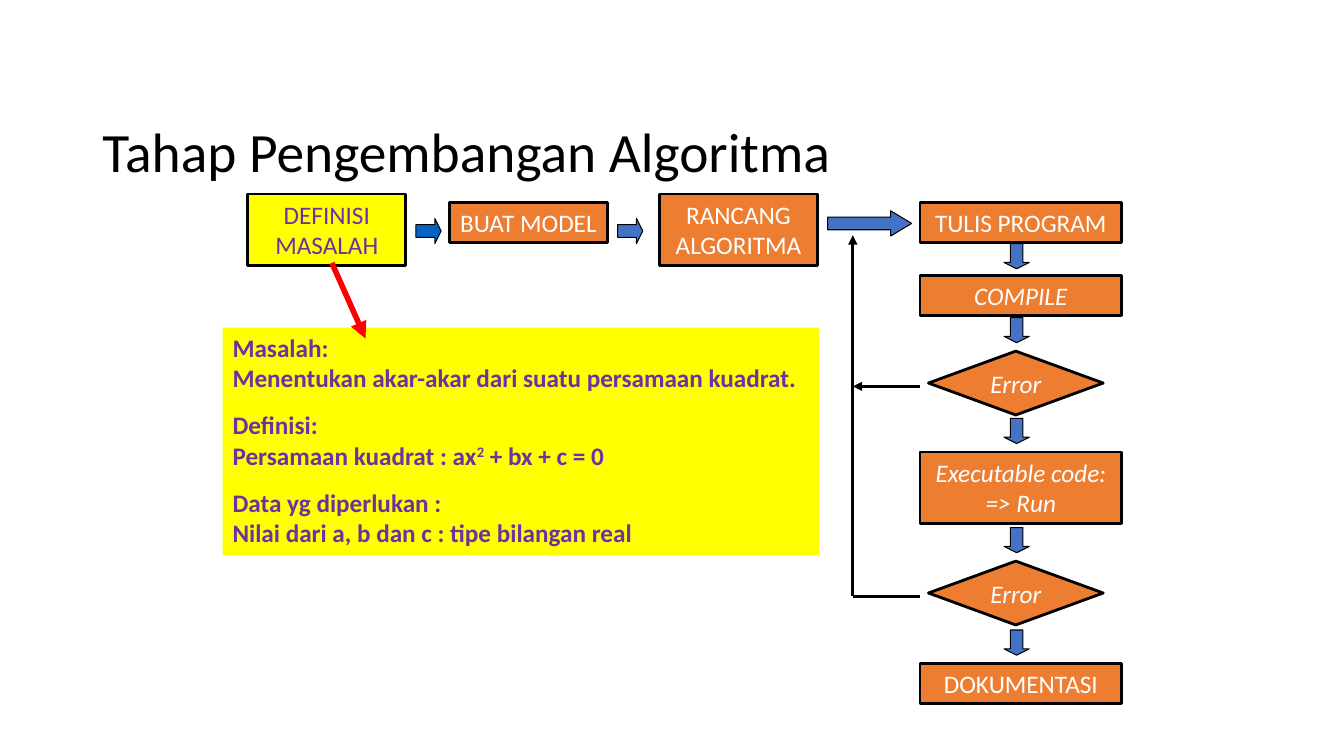
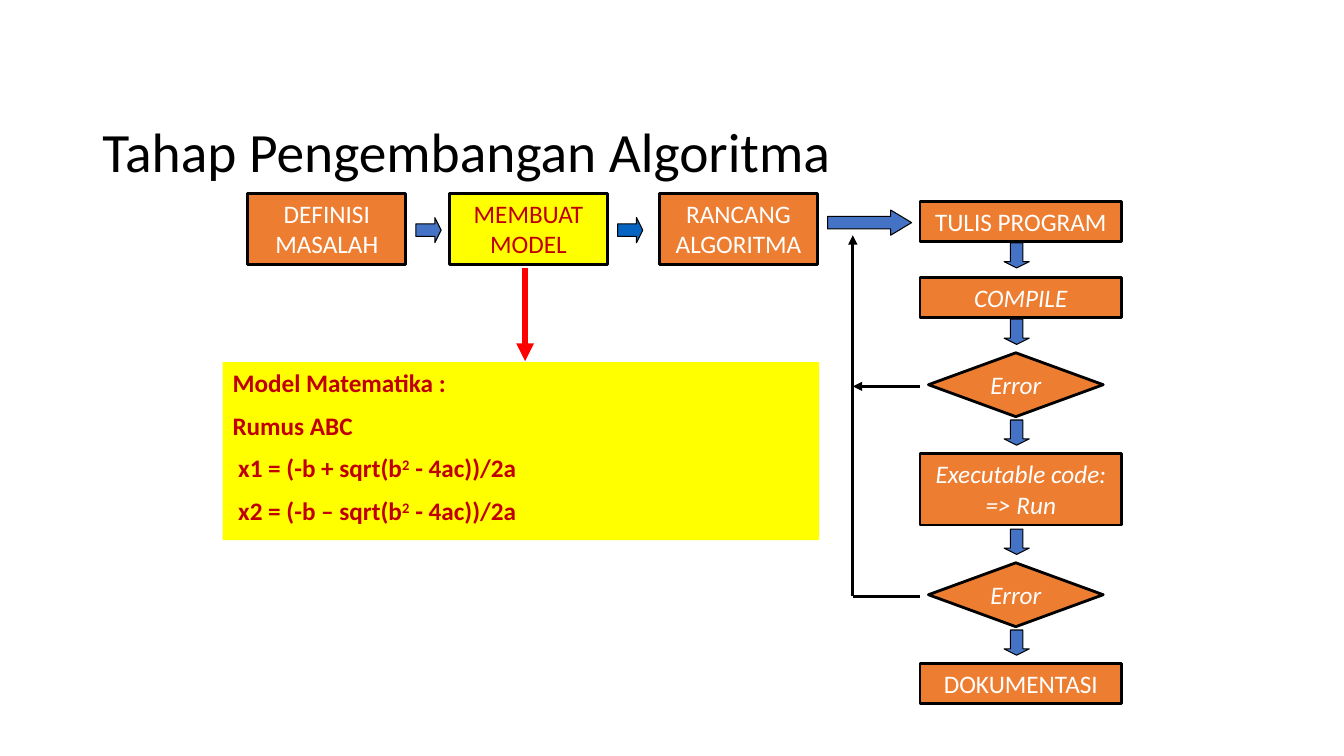
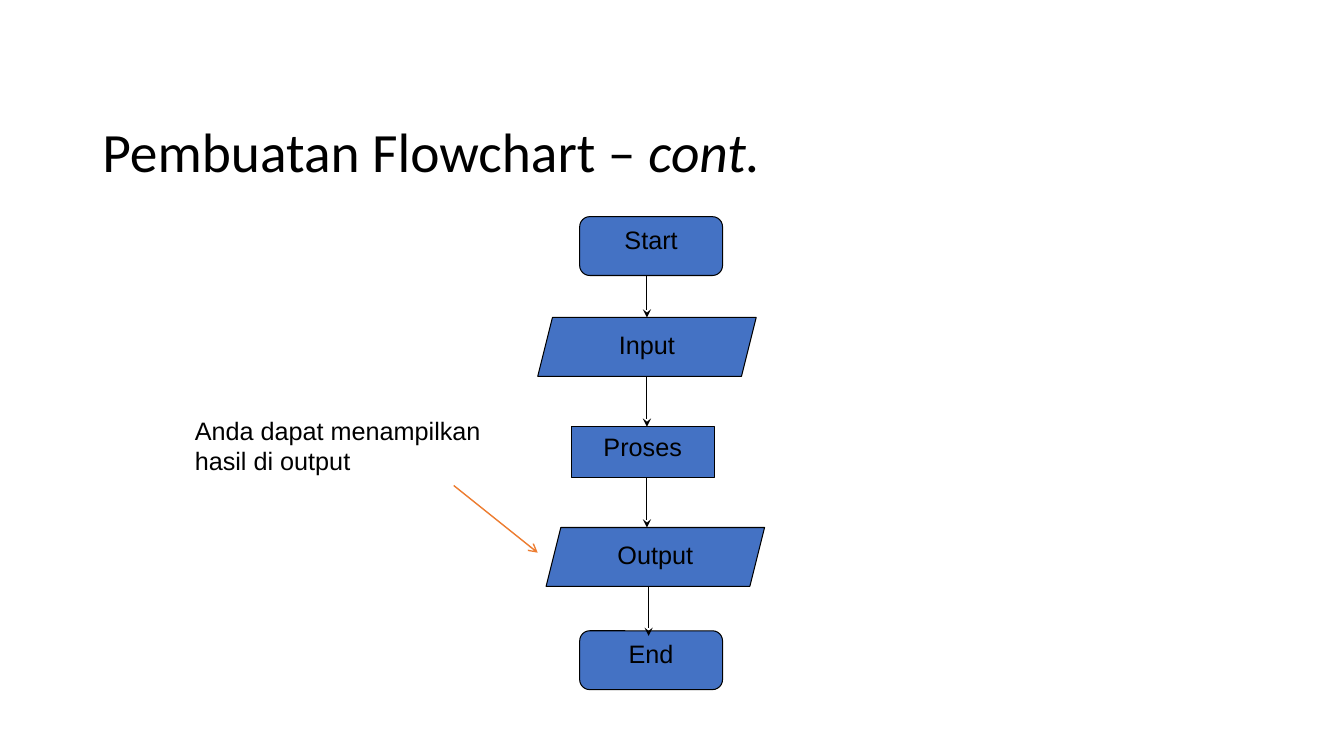
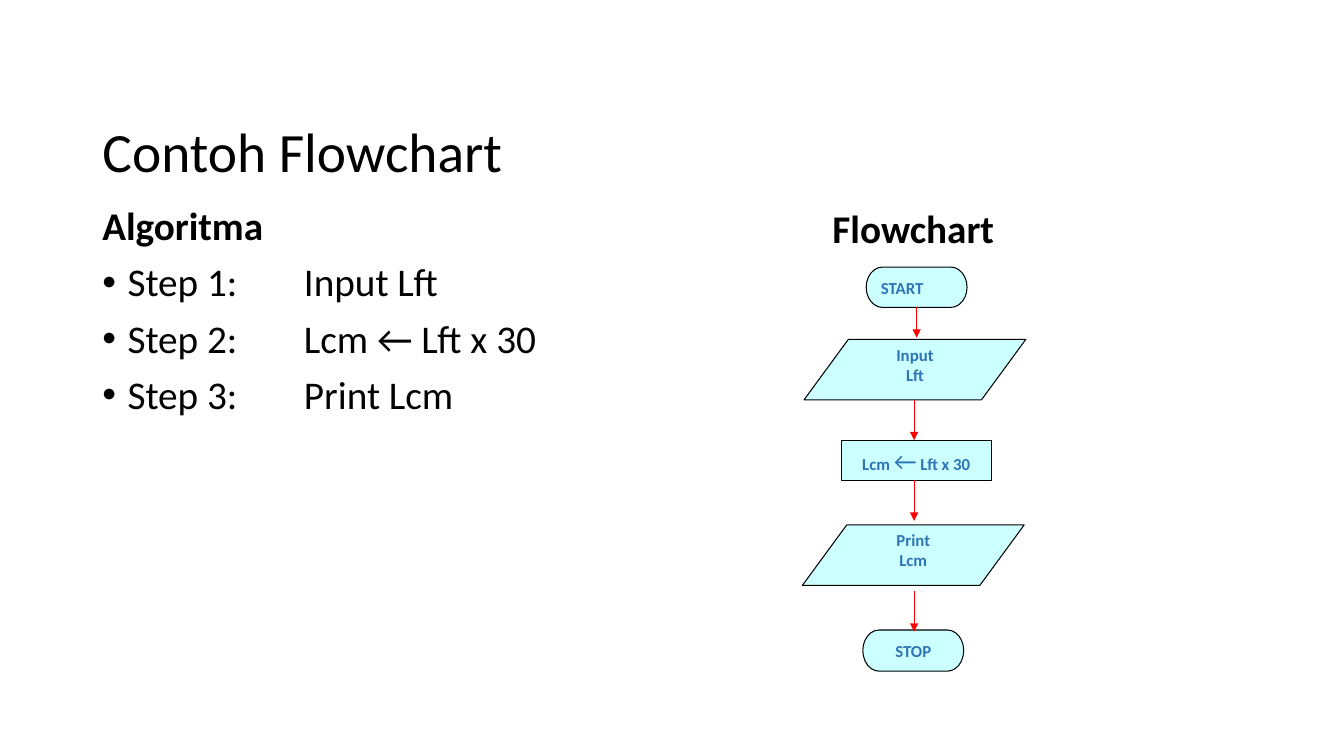
import dataclasses
import itertools

import lxml.etree
import pptx
import pptx.dml.color
import pptx.enum.shapes
import pptx.enum.text
import pptx.oxml.ns
import pptx.util

KIND = pptx.enum.shapes.MSO_SHAPE
ALIGN = pptx.enum.text.PP_ALIGN
ANCHOR = pptx.enum.text.MSO_ANCHOR

# The slide is a grid of 160 columns by 90 rows of square cells
ROWS = 90
WIDTH = pptx.util.Inches(13.33)
CELL = pptx.util.Inches(1 / 12)


@dataclasses.dataclass(frozen=True)
class Theme:
    """Colours, fonts and type sizes."""
    black: str = "000000"
    white: str = "FFFFFF"
    orange: str = "ED7D31"
    yellow: str = "FFFF00"
    blue: str = "4472C4"
    deep: str = "0563C1"
    aqua: str = "CCFFFF"
    steel: str = "2E75B6"
    purple: str = "7030A0"
    wine: str = "C00000"
    red: str = "FF0000"
    main: str = "Calibri"
    plain: str = "Arial"
    title: float = 39.6
    large: int = 28
    body: int = 18
    small: int = 12
    thin: float = 0.75
    thick: float = 2


T = Theme()


def cells(*counts):
    return [round(count * CELL) for count in counts]


def rgb(code):
    return pptx.dml.color.RGBColor.from_string(code)


def add_tag(parent, tag, **values):
    return lxml.etree.SubElement(parent, pptx.oxml.ns.qn(tag), **values)


class Deck:
    """Holds the style and the current slide."""

    def __init__(self):
        self.show = pptx.Presentation()
        self.show.slide_width = WIDTH
        self.show.slide_height = ROWS * CELL
        self.slide = None

    def start(self, *title):
        """Open a slide with its title."""
        self.slide = self.show.slides.add_slide(self.show.slide_layouts[5])
        box = self.slide.shapes.title
        box.left, box.top, box.width, box.height = cells(11, 15.1, 138, 6.5)
        box.text_frame.auto_size = pptx.enum.text.MSO_AUTO_SIZE.NONE
        self.fill_in(box.text_frame, [title], size=T.title, lead=0.9,
                     anchor=ANCHOR.MIDDLE)

    def fill_in(self, frame, lines, size=T.body, color=T.black, font=T.main,
                bold=False, italic=False, align=ALIGN.LEFT, gaps=(),
                lead=None, anchor=ANCHOR.TOP, wrap=True):
        """Each line is a string, or pieces: text or (text, font changes)."""
        frame.word_wrap = wrap
        frame.vertical_anchor = anchor
        lines = [[line] if isinstance(line, str) else line for line in lines]
        pairs = [[(bit, {}) if isinstance(bit, str) else bit for bit in line]
                 for line in lines]
        frame.text = "\n".join("" for _ in pairs)
        for para, bits, gap in itertools.zip_longest(
                frame.paragraphs, pairs, gaps):
            para.alignment = align
            if lead:
                para.line_spacing = lead
            if gap:
                para.space_before = pptx.util.Pt(gap)
            for text, change in bits:
                run = para.add_run()
                run.text = text
                run.font.name = font
                run.font.size = pptx.util.Pt(change.get("size", size))
                run.font.bold = change.get("bold", bold)
                run.font.italic = change.get("italic", italic)
                run.font.color.rgb = rgb(color)
                if change.get("power"):
                    run.font._element.set("baseline", "30000")

    def shape(self, kind, box, fill, lines=(), line=T.thin, adjust=(), **style):
        item = self.slide.shapes.add_shape(kind, *cells(*box))
        item.shadow.inherit = False
        item.fill.solid()
        item.fill.fore_color.rgb = rgb(fill)
        if line:
            item.line.color.rgb = rgb(T.black)
            item.line.width = pptx.util.Pt(line)
        else:
            item.line.fill.background()
        for index, value in enumerate(adjust):
            item.adjustments[index] = value
        if lines:
            self.fill_in(item.text_frame, lines, **style)

    def text(self, box, lines, **style):
        frame = self.slide.shapes.add_textbox(*cells(*box)).text_frame
        self.fill_in(frame, lines, **style)
        return frame

    def line(self, start, end, color=T.black, width=T.thin, tip=None):
        link = self.slide.shapes.add_connector(
            pptx.enum.shapes.MSO_CONNECTOR.STRAIGHT, *cells(*start, *end))
        link.line.color.rgb = rgb(color)
        link.line.width = pptx.util.Pt(width)
        if tip:
            add_tag(link.line._get_or_add_ln(), "a:tailEnd", type=tip)
        add_tag(link._element.spPr, "a:effectLst")

    def step(self, box, text, fill=T.orange, color=T.white, **style):
        """A framed stage of the process."""
        self.shape(KIND.RECTANGLE, box, fill, [text], T.thick, color=color,
                   align=ALIGN.CENTER, **style)

    def test(self, row):
        """A decision diamond in the right-hand column."""
        self.shape(KIND.FLOWCHART_DECISION, (110.5, row, 20.8, 7.6), T.orange,
                   ["Error"], T.thick, color=T.white, italic=True, wrap=False,
                   align=ALIGN.CENTER, anchor=ANCHOR.MIDDLE)

    def right(self, col, row, fill=T.blue, width=3, head=0.25):
        self.shape(KIND.RIGHT_ARROW, (col, row, width, 3), fill,
                   adjust=(0.5, head))

    def stages(self, names, top, lift, active, ink):
        """The whole process; one stage is lit up."""
        self.start("Tahap Pengembangan Algoritma")
        # Stages across the top
        for index, (name, col) in enumerate(zip(names, (29.5, 53.5, 78.5))):
            tall = name != "BUAT MODEL"
            lit = index == active
            row = top - 1 if tall else top
            self.step((col, row, 18.8, 8.5 if tall else 4.8), name,
                      T.yellow if lit else T.orange, ink if lit else T.white)
        for index, col in enumerate((49.5, 73.5)):
            self.right(col, top + 1.9, T.deep if index == active else T.blue)
        self.right(98.5, top + 1, width=10, head=0.83)
        # Stages down the right-hand column
        for row, high, name, slant in (
                (top, 4.8, "TULIS PROGRAM", False),
                (33 - lift, 4.8, "COMPILE", True),
                (54 - lift, 8.5, "Executable code: => Run", True),
                (79, 4.8, "DOKUMENTASI", False)):
            self.step((109.5, row, 24, high), name, italic=slant)
        for row in (42, 67):
            self.test(row - lift)
        for row in (top + 4.9, 38 - lift, 50 - lift, 63 - lift, 75):
            self.shape(KIND.DOWN_ARROW, (119.5, row, 3, 3), T.blue,
                       adjust=(0.5, 0.25))
        # Way back after an error
        for start, end, tip in (((101.5, 71), (101.5, 28), "triangle"),
                                ((109.5, 46), (101.5, 46), "triangle"),
                                ((109.5, 71), (101.5, 71), None)):
            self.line(start, end, width=2.25, tip=tip)

    def callout(self, row, high, lines, color, gaps):
        self.shape(KIND.RECTANGLE, (26.5, row, 71, high), T.yellow, lines,
                   line=None, color=color, bold=True, gaps=gaps)


def define(deck):
    deck.stages(("DEFINISI MASALAH", "BUAT MODEL", "RANCANG ALGORITMA"),
                24.1, 0.2, 0, T.purple)
    deck.callout(39, 27.1, [
        "Masalah:",
        "Menentukan akar-akar dari suatu persamaan kuadrat.",
        "Definisi:",
        ("Persamaan kuadrat : ax", ("2", {"power": True}), " + bx + c = 0"),
        "Data yg diperlukan :",
        "Nilai dari a, b dan c : tipe bilangan real",
    ], T.purple, (0, 0, 12, 0, 12, 0))
    deck.line((39.5, 31.3), (43.5, 40.3), T.red, 4, "triangle")


def model(deck):
    deck.stages(("DEFINISI MASALAH", "MEMBUAT MODEL", "RANCANG ALGORITMA"),
                24, 0, 1, T.wine)
    power = ("2", {"power": True})
    deck.callout(43.1, 21.2, [
        "Model Matematika :",
        "Rumus ABC",
        (" x1 = (-b + sqrt(b", power, " - 4ac))/2a"),
        (" x2 = (-b – sqrt(b", power, " - 4ac))/2a"),
    ], T.wine, (0, 9, 9, 9))
    deck.line((62.5, 31.9), (62.5, 43), T.red, 4.25, "triangle")


def build(deck):
    deck.start("Pembuatan Flowchart – ", ("cont.", {"italic": True}))
    # Chart blocks
    for kind, box, name, adjust in (
            (KIND.ROUNDED_RECTANGLE, (69, 25.8, 17, 7), "Start", [0.17]),
            (KIND.PARALLELOGRAM, (64, 37.8, 26, 7), "Input", [0.25]),
            (KIND.RECTANGLE, (68, 50.8, 17, 6), "Proses", []),
            (KIND.PARALLELOGRAM, (65, 62.8, 26, 7), "Output", [0.25]),
            (KIND.ROUNDED_RECTANGLE, (69, 75.1, 17, 7), "End", [0.17])):
        deck.shape(kind, box, T.blue, [name], adjust=adjust, font=T.plain,
                   align=ALIGN.CENTER)
    for col, top, end in ((77, 32.8, 37.8), (77, 44.8, 50.8),
                          (77, 56.8, 62.8), (77.2, 69.8, 75.7)):
        deck.line((col, top), (col, end), tip="stealth")
    # Note on the output
    deck.text((22, 48.8, 37.6, 8.5),
              ["Anda dapat menampilkan", "hasil di output"],
              font=T.plain, wrap=False)
    deck.line((54, 57.8), (64, 65.8), T.orange, 1, "arrow")


def sample(deck):
    deck.start("Contoh Flowchart")
    # Steps in words
    steps = ("Input Lft", "Lcm ← Lft x 30", "Print Lcm")
    lines = [f"Step {count}:\t{step}" for count, step in enumerate(steps, 1)]
    frame = deck.text((11, 24, 80, 57),
                      [[("Algoritma", {"bold": True})], *lines],
                      size=T.large, lead=0.9, gaps=(0, 10, 10, 10))
    for para in frame.paragraphs[1:]:
        props = para._p.get_or_add_pPr()
        props.set("marL", str(3 * CELL))
        props.set("indent", str(-3 * CELL))
        add_tag(props, "a:buFont", typeface=T.plain)
        add_tag(props, "a:buChar", char="•")
        tabs = add_tag(props, "a:tabLst")
        add_tag(tabs, "a:tab", pos=str(24 * CELL), algn="l")
    # Steps as a chart
    deck.text((97.9, 24.4, 21.8, 6.4), ["Flowchart"], size=T.large, bold=True,
              lead=0.9, wrap=False)
    arrow = ("←", {"size": T.body, "bold": False})
    for kind, box, words, align in (
            (KIND.FLOWCHART_TERMINATOR, (103.1, 31.8, 12, 4.8),
             ["START"], ALIGN.LEFT),
            (KIND.FLOWCHART_DATA, (95.7, 40.4, 26.4, 7.2),
             ["Input", "Lft"], ALIGN.CENTER),
            (KIND.FLOWCHART_PROCESS, (100.1, 52.4, 17.9, 4.8),
             [("Lcm ", arrow, " Lft x 30")], ALIGN.CENTER),
            (KIND.FLOWCHART_DATA, (95.5, 62.5, 26.4, 7.2),
             ["Print", "Lcm"], ALIGN.CENTER),
            (KIND.FLOWCHART_TERMINATOR, (102.7, 75, 12, 4.9),
             ["STOP"], ALIGN.CENTER)):
        deck.shape(kind, box, T.aqua, words, size=T.small, color=T.steel,
                   bold=True, align=align)
    for col, top, end in ((109.1, 36.6, 40.2), (108.8, 47.6, 52.4),
                          (108.8, 57.2, 62), (108.8, 70.4, 75.2)):
        deck.line((col, top), (col, end), T.red, tip="triangle")


def main():
    deck = Deck()
    for draw in (define, model, build, sample):
        draw(deck)
    deck.show.save("out.pptx")


if __name__ == "__main__":
    main()
